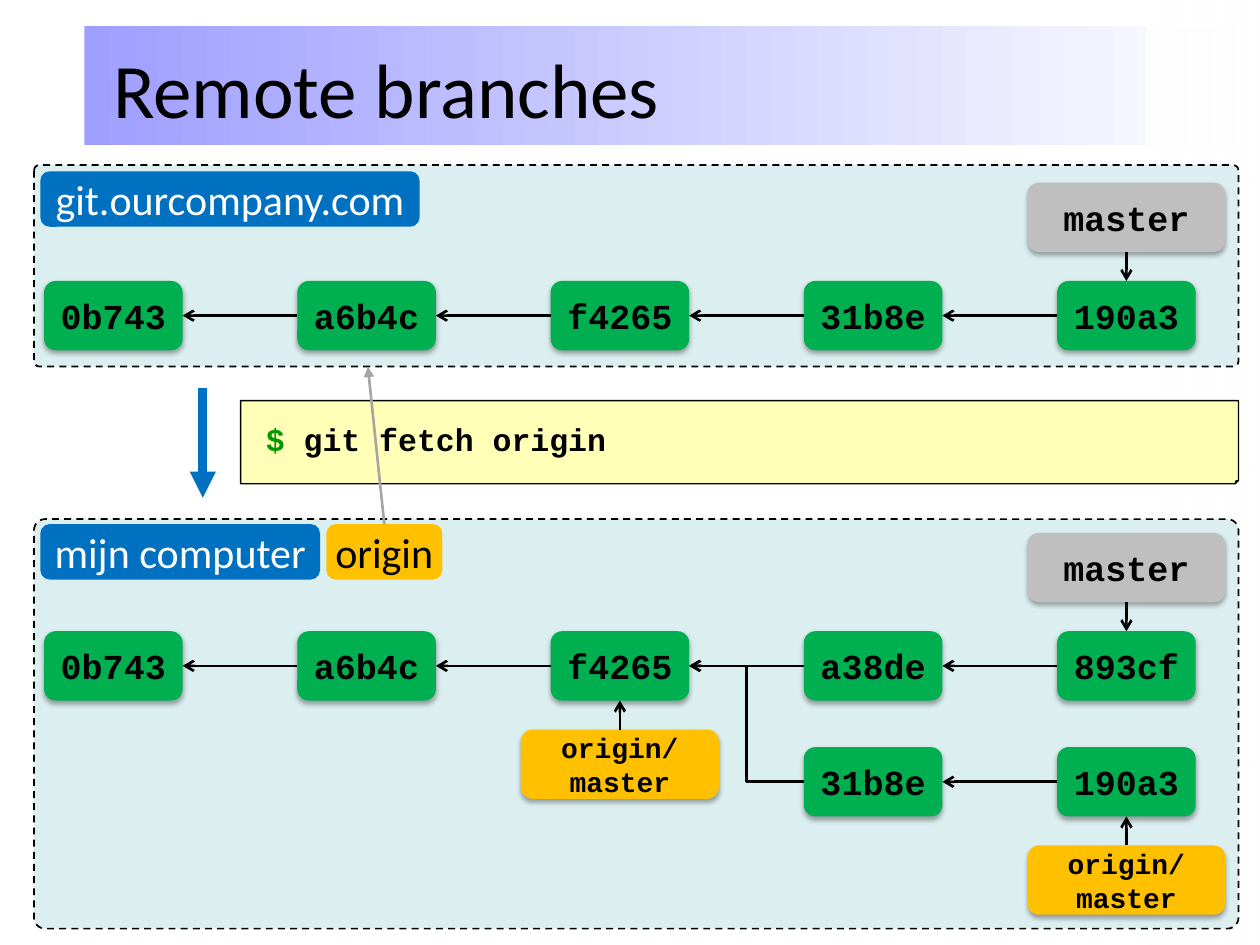
from dataclasses import dataclass

from lxml import etree
from pptx import Presentation
from pptx.dml.color import RGBColor
from pptx.enum.dml import MSO_LINE
from pptx.enum.shapes import MSO_CONNECTOR, MSO_SHAPE
from pptx.enum.text import MSO_ANCHOR, PP_ALIGN
from pptx.oxml.ns import qn
from pptx.util import Inches, Pt

RECT, ROUNDED = MSO_SHAPE.RECTANGLE, MSO_SHAPE.ROUNDED_RECTANGLE
NOTE, DASH = MSO_SHAPE.FOLDED_CORNER, MSO_LINE.DASH
STRAIGHT, ELBOW = MSO_CONNECTOR.STRAIGHT, MSO_CONNECTOR.ELBOW
LEFT, CENTER = PP_ALIGN.LEFT, PP_ALIGN.CENTER
TOP_ANCHOR, MIDDLE = MSO_ANCHOR.TOP, MSO_ANCHOR.MIDDLE
TOP, WEST, BOTTOM, EAST = range(4)

SANS, MONO = "Calibri", "Courier New"
BLACK, WHITE = "000000", "FFFFFF"
GREEN, ORANGE, GREY, BLUE = "00B050", "FFC000", "BFBFBF", "0070C0"

# Commit grid, in inches
GRID_LEFT, COLUMN_STEP = 0.35, 2.01
COMMIT_W, POINTER_W, BOX_H = 1.1, 1.57, 0.55
POINTER_STEP = 0.78
SERVER_ROW, LOCAL_ROW, FETCHED_ROW = 2.23, 5.01, 5.93
PANEL_LEFT, PANEL_W, TAG_H = 0.27, 9.56, 0.44


@dataclass
class Area:
    left: float
    top: float
    width: float
    height: float

    def emu(self) -> list:
        return [Inches(v) for v in (self.left, self.top, self.width, self.height)]


@dataclass
class Style:
    size: float
    font: str = MONO
    color: str = BLACK
    bold: bool = True
    align: int = CENTER


def rgb(value: str) -> RGBColor:
    return RGBColor.from_string(value)


def add_child(parent, tag: str, **attributes):
    return etree.SubElement(parent, qn(tag), attributes)


def add_box(slide, area: Area, fill: str, kind=ROUNDED, alpha: int = 100,
            line: str = "", width: float = 1, corner: float = 0):
    box = slide.shapes.add_shape(kind, *area.emu())
    box.shadow.inherit = False
    box.fill.solid()
    box.fill.fore_color.rgb = rgb(fill)
    if alpha < 100:
        color = box._element.spPr.find(qn("a:solidFill"))[0]
        add_child(color, "a:alpha", val=str(alpha * 1000))
    if line:
        box.line.color.rgb = rgb(line)
        box.line.width = Pt(width)
    else:
        box.line.fill.background()
    if corner:
        guides = box._element.spPr.find(".//" + qn("a:avLst"))
        guides[:] = []
        add_child(guides, "a:gd", name="adj", fmla=f"val {round(corner * 100000)}")
    return box


def add_gradient(slide, area: Area, start: str, end: str, end_alpha: int = 100):
    band = add_box(slide, area, start, RECT)
    band.fill.gradient()
    band.fill.gradient_angle = 0
    for stop, color, place in zip(band.fill.gradient_stops, (start, end), (0, 1)):
        stop.color.rgb = rgb(color)
        stop.position = place
    last_color = band._element.spPr.findall(".//" + qn("a:srgbClr"))[-1]
    add_child(last_color, "a:alpha", val=str(end_alpha * 1000))


def set_frame(frame, wrap: bool = True, anchor=MIDDLE, inset=(0.1, 0.05)):
    across, down = (Inches(v) for v in inset)
    layout = {"word_wrap": wrap, "vertical_anchor": anchor, "margin_left": across,
              "margin_right": across, "margin_top": down, "margin_bottom": down}
    for name, value in layout.items():
        setattr(frame, name, value)


def write(paragraph, text: str, style: Style):
    paragraph.alignment = style.align
    for index, part in enumerate(text.split("\n")):
        if index:
            paragraph.add_line_break()
        run = paragraph.add_run()
        run.text = part
        values = {"name": style.font, "size": Pt(style.size), "bold": style.bold}
        for name, value in values.items():
            setattr(run.font, name, value)
        run.font.color.rgb = rgb(style.color)


def add_label(slide, area: Area, fill: str, text: str, style: Style, wrap=False):
    label = add_box(slide, area, fill)
    set_frame(label.text_frame, wrap)
    write(label.text_frame.paragraphs[0], text, style)
    return label


def add_raised(slide, area: Area, fill: str, text: str, size: float = 20):
    box = add_label(slide, area, fill, text, Style(size), wrap=True)
    effects = box._element.spPr.find(qn("a:effectLst"))
    shadow = add_child(effects, "a:outerShdw", blurRad=str(Pt(3.1)),
                       dist=str(Pt(1.8)), dir="5400000", rotWithShape="0")
    add_child(add_child(shadow, "a:srgbClr", val=BLACK), "a:alpha", val="35000")
    return box


def add_arrow(slide, start=(0, 0), end=(0, 0), kind=STRAIGHT, color=BLACK,
              width: float = 1.5, head="arrow"):
    arrow = slide.shapes.add_connector(kind, *(Inches(v) for v in (*start, *end)))
    arrow.line.color.rgb = rgb(color)
    arrow.line.width = Pt(width)
    add_child(arrow.line._get_or_add_ln(), "a:tailEnd", type=head)
    add_child(arrow._element.spPr, "a:effectLst")
    return arrow


def join(slide, source, source_side: int, target, target_side: int, kind=STRAIGHT):
    arrow = add_arrow(slide, kind=kind)
    arrow.begin_connect(source, source_side)
    arrow.end_connect(target, target_side)


def add_panel(slide, top: float, height: float):
    panel = add_box(slide, Area(PANEL_LEFT, top, PANEL_W, height), "BBE0E3",
                    alpha=50, line=BLACK, corner=0.027)
    panel.line.dash_style = DASH


def add_chain(slide, row: float, first_column: int, commits: str) -> list:
    boxes = []
    for column, commit in enumerate(commits.split(), first_column):
        left = GRID_LEFT + column * COLUMN_STEP
        boxes.append(add_raised(slide, Area(left, row, COMMIT_W, BOX_H), GREEN, commit))
    for parent, child in zip(boxes, boxes[1:]):
        join(slide, child, WEST, parent, EAST)
    return boxes


def add_pointer(slide, commit, text: str, fill: str, size: float, above: bool):
    left = commit.left.inches + (COMMIT_W - POINTER_W) / 2
    top = commit.top.inches + (-POINTER_STEP if above else POINTER_STEP)
    pointer = add_raised(slide, Area(left, top, POINTER_W, BOX_H), fill, text, size)
    near, far = (BOTTOM, TOP) if above else (TOP, BOTTOM)
    join(slide, pointer, near, commit, far)


deck = Presentation()
deck.slide_width, deck.slide_height = Inches(10), Inches(7.5)
slide = deck.slides.add_slide(deck.slide_layouts[6])

# Title band
add_gradient(slide, Area(0.67, 0.21, 9.33, 0.94), "9F9FFF", WHITE)
add_gradient(slide, Area(9.1, 0, 0.89, 7.5), WHITE, WHITE, 38)
title = slide.shapes.add_textbox(*Area(0.8, 0.07, 8.11, 1.25).emu()).text_frame
set_frame(title)
write(title.paragraphs[0], "Remote branches", Style(44, SANS, bold=False, align=LEFT))
# Server and local repositories
add_panel(slide, 1.31, 1.6)
add_panel(slide, 4.12, 3.25)
server = add_chain(slide, SERVER_ROW, 0, "0b743 a6b4c f4265 31b8e 190a3")
local = add_chain(slide, LOCAL_ROW, 0, "0b743 a6b4c f4265 a38de 893cf")
fetched = add_chain(slide, FETCHED_ROW, 3, "31b8e 190a3")
join(slide, fetched[0], WEST, local[2], EAST, ELBOW)
# Branch pointers
for tip in (server[-1], local[-1]):
    add_pointer(slide, tip, "master", GREY, 20, above=True)
for tip in (local[2], fetched[-1]):
    add_pointer(slide, tip, "origin/\nmaster", ORANGE, 16, above=False)
# Fetch command
add_arrow(slide, (1.61, 3.08), (1.61, 3.95), color=BLUE, width=5, head="triangle")
command = add_box(slide, Area(1.91, 3.18, 7.92, 0.66), "FFFF99", NOTE, 70, BLACK, 0.75, 0.041)
set_frame(command.text_frame, False, TOP_ANCHOR, (0.2, 0.2))
prompt_line = command.text_frame.paragraphs[0]
prompt_line.line_spacing = 0.85
write(prompt_line, "$ ", Style(18, color="009900", align=LEFT))
write(prompt_line, "git fetch origin", Style(18, align=LEFT))
# Repository names and the remote's link to the server
host, remote_name = Style(24, SANS, WHITE, False), Style(24, SANS, BLACK, False)
add_label(slide, Area(0.32, 1.36, 3.01, TAG_H), BLUE, "git.ourcompany.com", host)
add_label(slide, Area(0.32, 4.16, 2.22, TAG_H), BLUE, "mijn computer", host)
remote = add_label(slide, Area(2.59, 4.16, 0.92, TAG_H), ORANGE, "origin", remote_name)
remote_link = add_arrow(slide, (3.05, 4.16), (2.92, 2.91), color="A6A6A6", head="triangle")
remote_link.begin_connect(remote, TOP)

deck.save("out.pptx")
